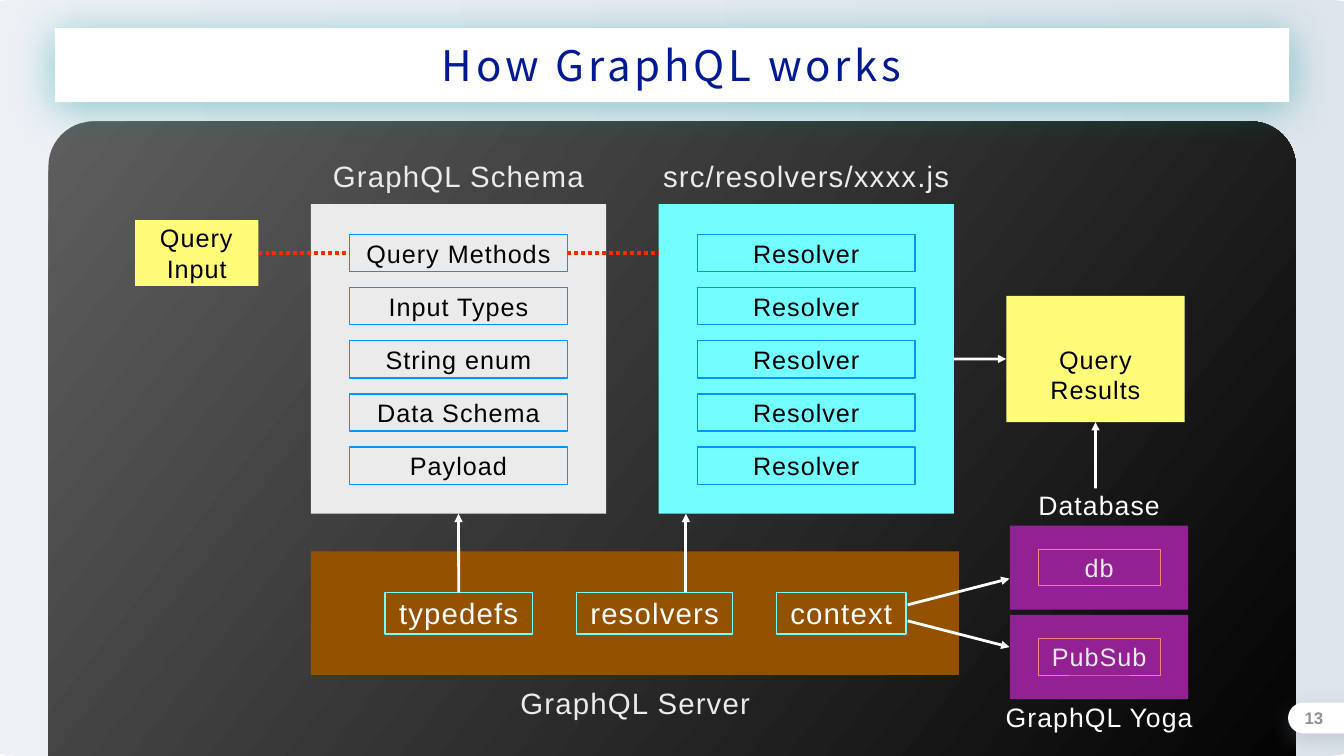
from lxml import etree
from pptx import Presentation
from pptx.dml.color import RGBColor
from pptx.enum.dml import MSO_LINE
from pptx.enum.shapes import MSO_CONNECTOR, MSO_SHAPE
from pptx.enum.text import MSO_ANCHOR, MSO_AUTO_SIZE, PP_ALIGN
from pptx.oxml.ns import qn
from pptx.util import Cm, Pt

RECT, ROUND = MSO_SHAPE.RECTANGLE, MSO_SHAPE.ROUNDED_RECTANGLE
STRAIGHT = MSO_CONNECTOR.STRAIGHT
DOTTED = MSO_LINE.ROUND_DOT
CENTER, RIGHT = PP_ALIGN.CENTER, PP_ALIGN.RIGHT
MIDDLE, NO_FIT = MSO_ANCHOR.MIDDLE, MSO_AUTO_SIZE.NONE
SIDE_TOP, SIDE_LEFT, SIDE_BOTTOM, SIDE_RIGHT = range(4)

WHITE = RGBColor(0xFF, 0xFF, 0xFF)
BLACK = RGBColor(0, 0, 0)
LIGHT = RGBColor(0xEB, 0xEB, 0xEB)
GRAY = RGBColor(0x91, 0x91, 0x91)
CHARCOAL = RGBColor(0x5E, 0x5E, 0x5E)
MIST = RGBColor(0xE4, 0xEA, 0xF2)
HAZE = RGBColor(0xCF, 0xD8, 0xE4)
NAVY = RGBColor(0x01, 0x19, 0x93)
BLUE = RGBColor(0x00, 0x96, 0xFF)
CYAN = RGBColor(0x73, 0xFD, 0xFF)
BROWN = RGBColor(0x94, 0x52, 0x00)
PURPLE = RGBColor(0x94, 0x21, 0x93)
YELLOW = RGBColor(0xFF, 0xFC, 0x79)
CORAL = RGBColor(0xFF, 0x7E, 0x79)
RED = RGBColor(0xFF, 0x26, 0x00)

PANEL_Y, PANEL_W, PANEL_H = 10.29, 14.88, 15.6
ROW_Y, ROW_W, ROW_H, ROW_PITCH = 11.81, 10.97, 1.88, 2.68
SERVER_ITEM_Y = 29.85
STORE_X, STORE_W, STORE_H = 50.9, 8.99, 4.24


def cm(*values):
    return [Cm(v) for v in values]


def write(s, text, size=36, color=BLACK, font="Arial", bold=False,
          align=CENTER, spacing=None, wrap=True, top=0.15):
    """Fill s with text; spacing is letter spacing in points, size / 25 by default."""
    tf = s.text_frame
    tf.word_wrap, tf.auto_size, tf.vertical_anchor = wrap, NO_FIT, MIDDLE
    tf.margin_left = tf.margin_right = tf.margin_bottom = Cm(0.15)
    tf.margin_top = Cm(top)
    spacing = size / 25 if spacing is None else spacing
    for i, line in enumerate(text.split("\n")):
        p = tf.add_paragraph() if i else tf.paragraphs[0]
        p.alignment = align
        r = p.add_run()
        r.text = line
        r.font.size, r.font.name, r.font.bold = Pt(size), font, bold
        r.font.color.rgb = color
        r._r.get_or_add_rPr().set("spc", str(round(spacing * 100)))


def add_label(shapes, x, y, w, h, text, **fmt):
    write(shapes.add_textbox(*cm(x, y, w, h)), text, **fmt)


def add_box(shapes, x, y, w, h, fill=None, line=None, line_w=2, text="", **fmt):
    s = shapes.add_shape(RECT, *cm(x, y, w, h))
    s.shadow.inherit = False
    if fill:
        s.fill.solid()
        s.fill.fore_color.rgb = fill
    else:
        s.fill.background()
    if line:
        s.line.color.rgb, s.line.width = line, Pt(line_w)
    else:
        s.line.fill.background()
    if text:
        write(s, text, **fmt)
    return s


def add_rounded(shapes, x, y, w, h, radius):
    s = shapes.add_shape(ROUND, *cm(x, y, w, h))
    s.adjustments[0] = radius
    s.shadow.inherit = False
    s.line.fill.background()
    return s


def set_alpha(color_el, percent):
    etree.SubElement(color_el, qn("a:alpha"), val=str(percent * 1000))


def set_gradient(s, angle, stops, alphas=()):
    s.fill.gradient()
    s.fill.gradient_angle = angle
    for stop, color in zip(s.fill.gradient_stops, stops):
        stop.color.rgb = color
    for el, alpha in zip(s._element.spPr.findall(".//" + qn("a:srgbClr")), alphas):
        set_alpha(el, alpha)


def set_white_with_shadow(s, color, alpha, blur, dist):
    s.fill.solid()
    s.fill.fore_color.rgb = WHITE
    s.shadow.inherit = False
    effects = s._element.spPr.find(qn("a:effectLst"))
    shadow = etree.SubElement(effects, qn("a:outerShdw"), blurRad=str(Pt(blur)),
                              dist=str(Pt(dist)), dir="5400000", rotWithShape="0")
    set_alpha(etree.SubElement(shadow, qn("a:srgbClr"), val=color), alpha)


def add_line(shapes, start=(0, 0), end=(0, 0), begin=None, finish=None,
             color=WHITE, width=4, dotted=False):
    """Draw an arrow, or a dotted line; begin and finish are (shape, side) joints."""
    c = shapes.add_connector(STRAIGHT, *cm(*start, *end))
    if begin:
        c.begin_connect(*begin)
    if finish:
        c.end_connect(*finish)
    c.line.color.rgb, c.line.width = color, Pt(width)
    if dotted:
        c.line.dash_style = DOTTED
    else:
        etree.SubElement(c.line._get_or_add_ln(), qn("a:tailEnd"), type="triangle")
    etree.SubElement(c._element.spPr, qn("a:effectLst"))


def add_backdrop(shapes):
    s = add_rounded(shapes, -1.83, -0.03, 71.37, 38.13, 0.068)
    set_gradient(s, 2, (MIST, HAZE), (62, 65))
    s = add_rounded(shapes, 2.44, 6.12, 62.87, 36.45, 0.062)
    set_gradient(s, 322, (CHARCOAL, BLACK))
    s = add_rounded(shapes, 64.92, 35.41, 4.29, 1.55, 0.5)
    set_white_with_shadow(s, "7A899F", 31, 34, 9.5)
    add_label(shapes, 64.95, 35.56, 1.9, 1.27, "13", size=24, color=GRAY,
              bold=True, align=RIGHT, spacing=0)


def add_title(shapes, text):
    title = shapes.title
    shapes._spTree.append(title._element)  # above the backdrop
    title.left, title.top, title.width, title.height = cm(2.77, 1.42, 62.2, 3.73)
    geom = etree.Element(qn("a:prstGeom"), prst="roundRect")
    guides = etree.SubElement(geom, qn("a:avLst"))
    etree.SubElement(guides, qn("a:gd"), name="adj", fmla="val 50000")
    title._element.spPr.insert(1, geom)
    set_white_with_shadow(title, "009193", 44, 60, 6.6)
    write(title, text, size=60, color=NAVY, font="Noto Sans CJK SC", spacing=5.4)


def add_panel(shapes, x, heading, fill, rows):
    panel = add_box(shapes, x, PANEL_Y, PANEL_W, PANEL_H, fill=fill)
    add_label(shapes, x, 7.82, PANEL_W, 2.06, heading, size=42, color=LIGHT, wrap=False)
    row_x = x + (PANEL_W - ROW_W) / 2
    boxes = [add_box(shapes, row_x, ROW_Y + i * ROW_PITCH, ROW_W, ROW_H, line=BLUE, text=row)
             for i, row in enumerate(rows)]
    return panel, boxes


def add_server(shapes):
    add_box(shapes, 15.67, 27.79, 32.66, 6.22, fill=BROWN)
    add_label(shapes, 26.04, 34.37, 11.96, 2.06, "GraphQL Server",
              size=42, color=LIGHT, wrap=False)
    items = ((19.41, 7.42, "typedefs"), (29.06, 7.87, "resolvers"), (39.14, 6.53, "context"))
    return [add_box(shapes, x, SERVER_ITEM_Y, w, 2.11, line=CYAN, text=text,
                    size=42, color=WHITE, wrap=False) for x, w, text in items]


def add_stores(shapes):
    add_label(shapes, STORE_X, 24.51, STORE_W, 1.91, "Database", size=38, color=WHITE)
    for y, name in ((26.49, "db"), (30.99, "PubSub")):
        add_box(shapes, STORE_X, y, STORE_W, STORE_H, fill=PURPLE)
        add_box(shapes, STORE_X + 1.42, y + 1.2, 6.17, 1.83, line=CORAL, line_w=1,
                text=name, color=LIGHT)
    add_label(shapes, 49.89, 35.18, 11.02, 1.91, "GraphQL Yoga", size=38, color=WHITE)


def main():
    prs = Presentation()
    prs.slide_width, prs.slide_height = cm(67.74, 38.1)
    shapes = prs.slides.add_slide(prs.slide_layouts[5]).shapes
    add_backdrop(shapes)
    add_title(shapes, "How GraphQL works")

    typedefs = add_server(shapes)[0]
    schema, methods = add_panel(
        shapes, 15.67, "GraphQL Schema", LIGHT,
        ("Query Methods", "Input Types", "String enum", "Data Schema", "Payload"))
    resolvers, _ = add_panel(shapes, 33.2, "src/resolvers/xxxx.js", CYAN, ["Resolver"] * 5)
    query = add_box(shapes, 6.81, 11.09, 6.22, 3.32, fill=YELLOW, text="Query Input")
    results = add_box(shapes, 50.72, 14.91, 8.99, 6.36, fill=YELLOW,
                      text="Query\nResults", top=1.7)
    add_stores(shapes)

    dots = dict(color=RED, width=5, dotted=True)
    add_line(shapes, begin=(query, SIDE_RIGHT), finish=(methods[0], SIDE_LEFT), **dots)
    add_line(shapes, end=(33.2, ROW_Y + ROW_H / 2), begin=(methods[0], SIDE_RIGHT), **dots)
    add_line(shapes, begin=(typedefs, SIDE_TOP), finish=(schema, SIDE_BOTTOM))
    add_line(shapes, (34.57, SERVER_ITEM_Y), (34.57, PANEL_Y + PANEL_H))
    add_line(shapes, begin=(resolvers, SIDE_RIGHT), finish=(results, SIDE_LEFT))
    add_line(shapes, (55.22, 24.61), finish=(results, SIDE_BOTTOM))
    add_line(shapes, (45.75, 30.48), (50.88, 29.16))
    add_line(shapes, (45.75, 31.29), (50.88, 32.61))
    prs.save("out.pptx")


if __name__ == "__main__":
    main()
